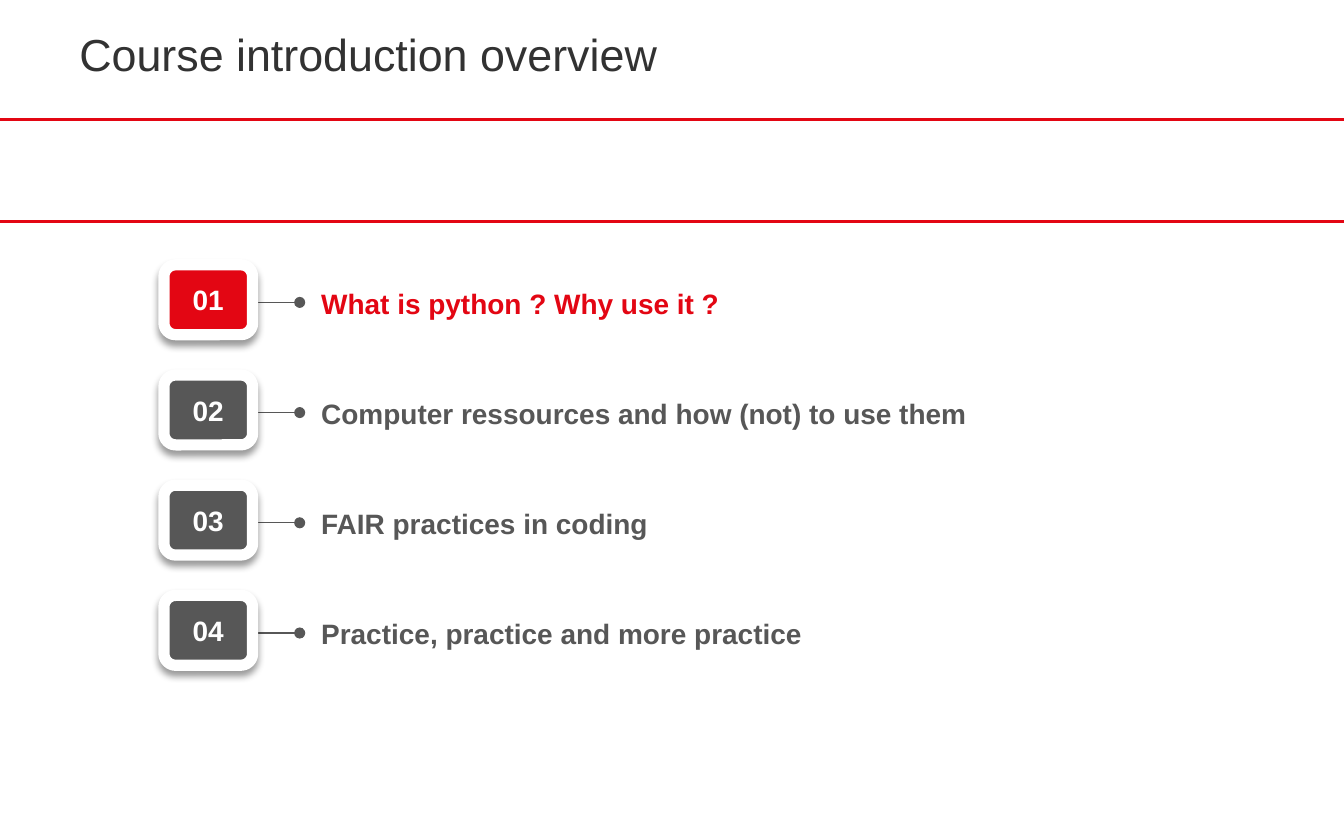
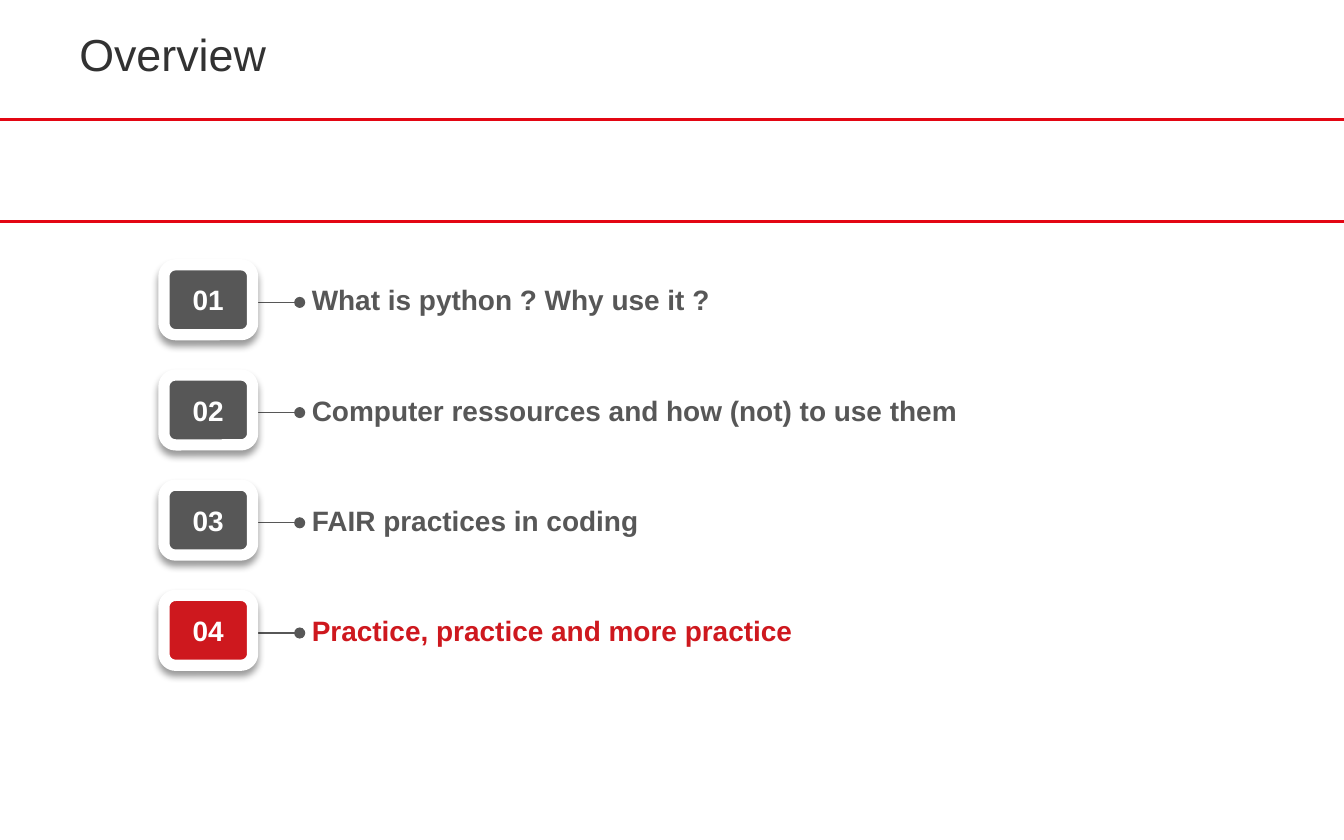
from lxml import etree
from pptx import Presentation
from pptx import util as u
from pptx.dml.color import RGBColor
from pptx.enum import shapes, text
from pptx.oxml import ns

RED = RGBColor(0xE3, 0x06, 0x13)
DARK_RED = RGBColor(0xCE, 0x18, 0x1E)
GREY = RGBColor(0x57, 0x57, 0x57)
TITLE_GREY = RGBColor(0x32, 0x32, 0x32)
WHITE = RGBColor(0xFF, 0xFF, 0xFF)
BLACK = RGBColor(0, 0, 0)
FONT = "Arial"

# Square grid: 100 columns by 62.5 rows
COLUMNS, ROWS = 100, 62.5
RULE_ROWS = (8.9, 16.5)
FIRST_TOPIC, TOPIC_PITCH = 22.3, 8.2
BADGE_LEFT, BADGE_WIDTH, BADGE_HEIGHT = 12.2, 6.6, 5.2
STEM_START, STEM_END, STEM_DROP = 13, 22.3, 0.2
LABEL_WIDTH, LABEL_HEIGHT = 63, 6.5

TOPICS = (
    "What is python ? Why use it ?",
    "Computer ressources and how (not) to use them",
    "FAIR practices in coding",
    "Practice, practice and more practice",
)


def cells(count):
    return u.Inches(count / 10)


def add_effects(shape):
    return etree.SubElement(shape._element.spPr, ns.qn("a:effectLst"))


def add_run(paragraph, words, size, color, bold=False):
    run = paragraph.add_run()
    run.text = words
    run.font.name = FONT
    run.font.size = u.Pt(size)
    run.font.bold = bold
    run.font.color.rgb = color


def add_line(slide, start, end, row, color, width, dotted=False):
    """Draw a horizontal line, with a round dot at each end if dotted."""
    line = slide.shapes.add_connector(
        shapes.MSO_CONNECTOR.STRAIGHT,
        cells(start), cells(row), cells(end), cells(row))
    line.line.color.rgb = color
    line.line.width = u.Pt(width)
    if dotted:
        for tip in ("a:headEnd", "a:tailEnd"):
            etree.SubElement(line.line._get_or_add_ln(), ns.qn(tip), type="oval")
    add_effects(line)


def add_text(slide, left, top, width, height):
    """Add an empty text box without margins and return its paragraph."""
    box = slide.shapes.add_textbox(*map(cells, (left, top, width, height)))
    frame = box.text_frame
    frame.word_wrap = True
    frame.vertical_anchor = text.MSO_ANCHOR.MIDDLE
    frame.margin_left = frame.margin_right = 0
    frame.margin_top = frame.margin_bottom = 0
    return frame.paragraphs[0]


def add_soft_shadow(shape):
    shadow = etree.SubElement(
        add_effects(shape), ns.qn("a:outerShdw"), blurRad=str(u.Pt(4)),
        dist=str(u.Pt(3)), dir="5400000", rotWithShape="0")
    color = etree.SubElement(shadow, ns.qn("a:srgbClr"), val=str(BLACK))
    etree.SubElement(color, ns.qn("a:alpha"), val="40000")


def add_badge(slide, number, centre, color):
    badge = slide.shapes.add_shape(
        shapes.MSO_SHAPE.ROUNDED_RECTANGLE,
        cells(BADGE_LEFT), cells(centre - BADGE_HEIGHT / 2),
        cells(BADGE_WIDTH), cells(BADGE_HEIGHT))
    badge.fill.solid()
    badge.fill.fore_color.rgb = color
    badge.line.color.rgb = WHITE
    badge.line.width = u.Pt(6)
    add_soft_shadow(badge)
    badge.text_frame.vertical_anchor = text.MSO_ANCHOR.MIDDLE
    paragraph = badge.text_frame.paragraphs[0]
    paragraph.alignment = text.PP_ALIGN.CENTER
    add_run(paragraph, f"{number:02}", 15, WHITE, bold=True)


def add_topic(slide, number, topic, color, label_left, label_drop):
    centre = FIRST_TOPIC + (number - 1) * TOPIC_PITCH
    add_line(slide, STEM_START, STEM_END, centre + STEM_DROP, GREY, 0.75, dotted=True)
    label = add_text(slide, label_left, centre + label_drop - LABEL_HEIGHT / 2,
                     LABEL_WIDTH, LABEL_HEIGHT)
    label.space_before = u.Pt(9)
    add_run(label, topic, 15, color, bold=True)
    add_badge(slide, number, centre, color)


def add_overview(deck, title, current, highlight, label_left, label_drop):
    """Add a slide listing all topics, with the current one highlighted."""
    slide = deck.slides.add_slide(deck.slide_layouts[6])
    for row in RULE_ROWS:
        add_line(slide, 0, COLUMNS, row, RED, 1.5)
    add_run(add_text(slide, 5.9, 0, 66.4, 7.9), title, 24, TITLE_GREY)
    for number, topic in enumerate(TOPICS, start=1):
        color = highlight if number == current else GREY
        add_topic(slide, number, topic, color, label_left, label_drop)


def main():
    deck = Presentation()
    deck.slide_width, deck.slide_height = cells(COLUMNS), cells(ROWS)
    add_overview(deck, "Course introduction overview", 1, RED, 23.9, 0.25)
    add_overview(deck, "Overview", 4, DARK_RED, 23.2, 0)
    deck.save("out.pptx")


if __name__ == "__main__":
    main()
